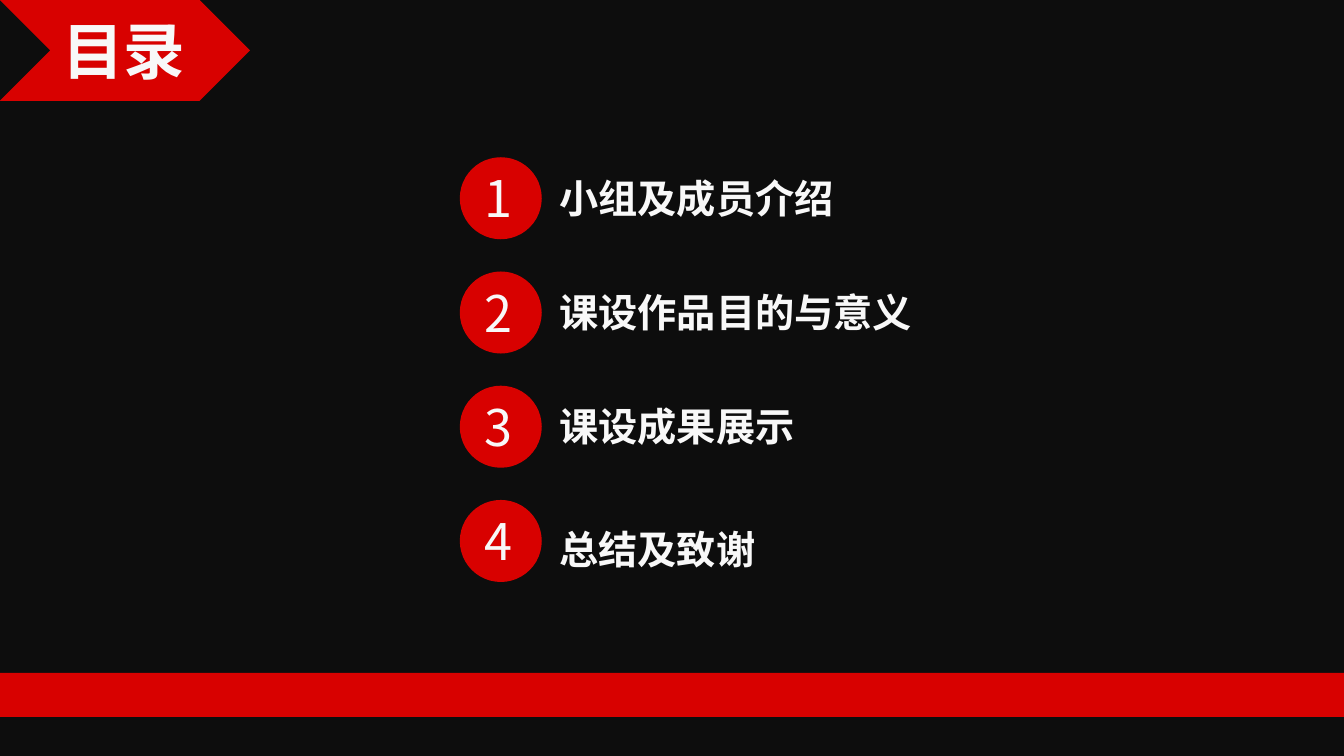
import pptx
import pptx.dml.color
import pptx.enum.shapes
import pptx.enum.text
import pptx.oxml.ns
import pptx.util
from lxml import etree

RED = pptx.dml.color.RGBColor(0xD8, 0x01, 0x00)
BLACK = pptx.dml.color.RGBColor(0x0D, 0x0D, 0x0D)
WHITE = pptx.dml.color.RGBColor(0xF8, 0xF8, 0xF8)
SHAPES = pptx.enum.shapes.MSO_SHAPE
TOPICS = ["小组及成员介绍", "课设作品目的与意义", "课设成果展示", "总结及致谢"]
FIRST_ROW, ROW_PITCH = 20.8, 15.11
LABEL_DROPS = [1.6, 1.6, 1.6, 2.67]


class ContentsPage:
    """Draws on one slide, with lengths in percent of the slide's size."""

    font_name = "Noto Sans CJK SC"

    def __init__(self, deck):
        self.width, self.height = deck.slide_width, deck.slide_height
        self.page = deck.slides.add_slide(deck.slide_layouts[6])
        background = self.page.background.fill
        background.solid()
        background.fore_color.rgb = WHITE

    def place(self, left, top, width, height):
        return (round(left * self.width / 100), round(top * self.height / 100),
                round(width * self.width / 100), round(height * self.height / 100))

    def shape(self, kind, area, color, parent=None):
        shape = (parent or self.page).shapes.add_shape(kind, *self.place(*area))
        shape.shadow.inherit = False
        shape.fill.solid()
        shape.fill.fore_color.rgb = color
        shape.line.fill.background()

    def text(self, words, area, size, bold=False, parent=None):
        box = (parent or self.page).shapes.add_textbox(*self.place(*area))
        frame = box.text_frame
        frame.word_wrap = True
        frame.auto_size = pptx.enum.text.MSO_AUTO_SIZE.SHAPE_TO_FIT_TEXT
        span = frame.paragraphs[0].add_run()
        span.text = words
        span.font.size = pptx.util.Pt(size)
        span.font.bold = bold
        span.font.color.rgb = WHITE
        span.font.name = self.font_name
        east_asian = etree.SubElement(span.font._element, pptx.oxml.ns.qn("a:ea"))
        east_asian.set("typeface", self.font_name)

    def topic(self, number, words, top, label_drop):
        group = self.page.shapes.add_group_shape()
        self.shape(SHAPES.OVAL, (34.21, top, 6.1, 10.85), RED, group)
        self.text(str(number), (35.33, top + 0.7, 3.9, 9.47), 36, parent=group)
        self.text(words, (40.89, top + label_drop, 30.6, 7.6), 28, True, group)


def main():
    deck = pptx.Presentation()
    deck.slide_width = pptx.util.Inches(13.33)
    deck.slide_height = pptx.util.Inches(7.5)
    contents = ContentsPage(deck)
    contents.shape(SHAPES.RECTANGLE, (0, 0, 100, 100), BLACK)
    contents.shape(SHAPES.RECTANGLE, (0, 89, 100, 5.85), RED)
    contents.shape(SHAPES.CHEVRON, (0, 0, 18.6, 13.33), RED)
    contents.text("目录", (3.9, 1.07, 10.8, 11.2), 44, True)
    for index, (words, drop) in enumerate(zip(TOPICS, LABEL_DROPS)):
        contents.topic(index + 1, words, FIRST_ROW + index * ROW_PITCH, drop)
    deck.save("out.pptx")


if __name__ == "__main__":
    main()
